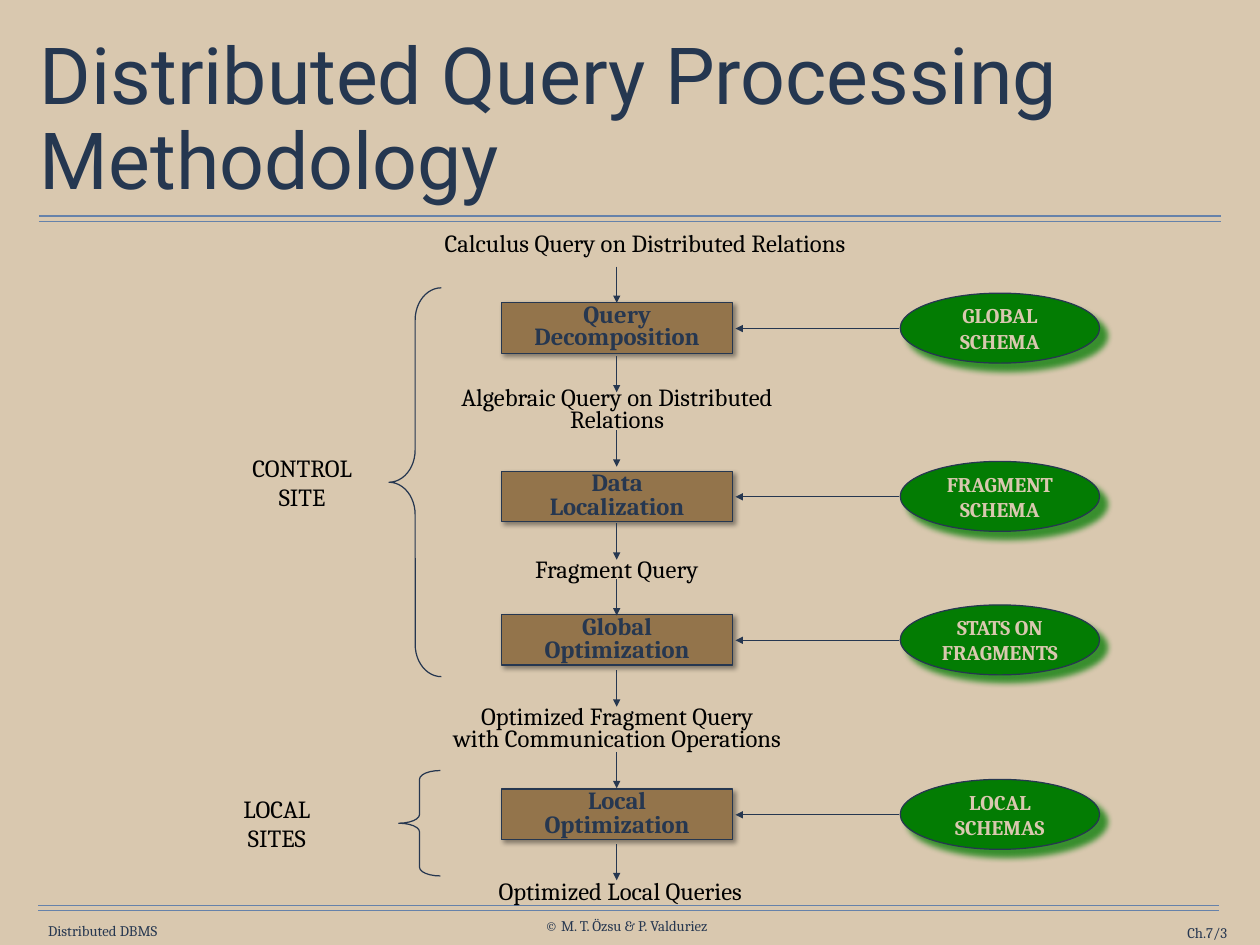
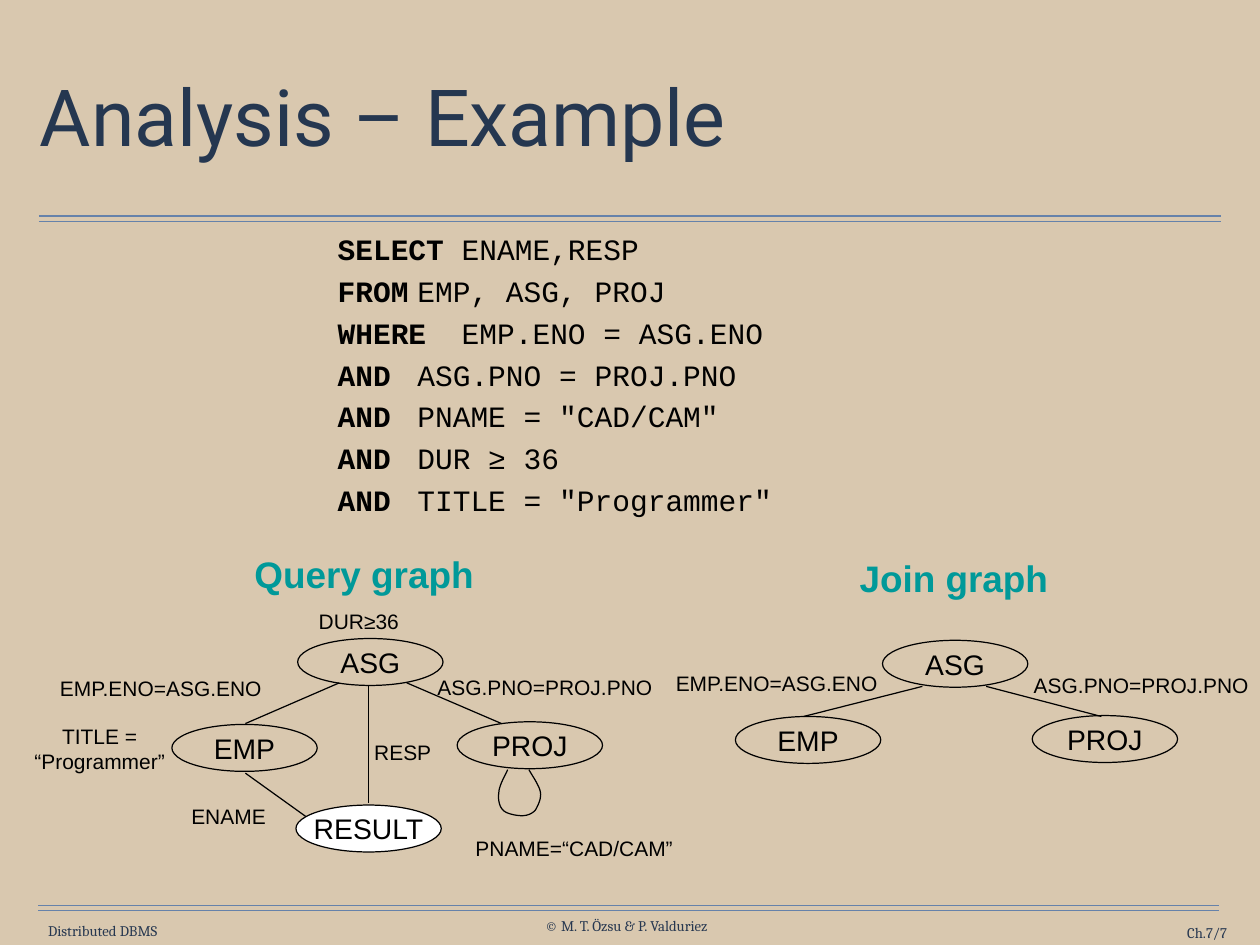
from lxml import etree
from pptx import Presentation
from pptx.dml.color import RGBColor
from pptx.enum.shapes import MSO_CONNECTOR, MSO_SHAPE
from pptx.enum.text import MSO_ANCHOR, MSO_AUTO_SIZE, PP_ALIGN
from pptx.oxml.ns import qn
from pptx.util import Inches, Pt

STRAIGHT = MSO_CONNECTOR.STRAIGHT
RECTANGLE, OVAL, BRACE = MSO_SHAPE.RECTANGLE, MSO_SHAPE.OVAL, MSO_SHAPE.LEFT_BRACE
TOP, MIDDLE = MSO_ANCHOR.TOP, MSO_ANCHOR.MIDDLE
LEFT, CENTER, RIGHT = PP_ALIGN.LEFT, PP_ALIGN.CENTER, PP_ALIGN.RIGHT
FIXED = MSO_AUTO_SIZE.NONE

SAND = RGBColor(0xD9, 0xC8, 0xAF)
NAVY = RGBColor(0x26, 0x37, 0x50)
TITLE_NAVY = RGBColor(0x25, 0x37, 0x50)
RULE_BLUE = RGBColor(0x66, 0x82, 0xAA)
BROWN = RGBColor(0x93, 0x74, 0x4B)
GREEN = RGBColor(0x03, 0x7C, 0x03)
TEAL = RGBColor(0x00, 0x99, 0x99)
BLACK = RGBColor(0, 0, 0)
WHITE = RGBColor(0xFF, 0xFF, 0xFF)

SERIF, SANS, MONO, DISPLAY = "Cambria", "Arial", "Courier New", "Roboto"
STEP_SHADOW = (BLACK, 40, 4, 3)
SCHEMA_SHADOW = (GREEN, 75, 5, 8.5)


def place(shape, left, top, width, height):
    shape.left, shape.top = Inches(left), Inches(top)
    shape.width, shape.height = Inches(width), Inches(height)


def bezier(start, curve, steps=10):
    points = (start, *curve)
    for step in range(1, steps + 1):
        t = step / steps
        weights = ((1 - t) ** 3, 3 * t * (1 - t) ** 2, 3 * t * t * (1 - t), t ** 3)
        yield tuple(
            Inches(sum(weight * point[axis] for weight, point in zip(weights, points)))
            for axis in (0, 1)
        )


class LectureDeck:
    def __init__(self):
        self.deck = Presentation()
        self.deck.slide_width = Inches(14.22)
        self.deck.slide_height = Inches(10.67)
        background = self.deck.slide_master.background.fill
        background.solid()
        background.fore_color.rgb = SAND
        self.content_layout = self.deck.slide_layouts[1]
        self.title_layout = self.deck.slide_layouts[5]
        for layout in (self.content_layout, self.title_layout):
            place(layout.placeholders[0], 0.39, 0.49, 13.44, 1.76)
        self.page = None

    def start(self, layout, title, number):
        self.page = self.deck.slides.add_slide(layout)
        self.set_text(self.page.shapes.title, [title], 64, DISPLAY, TITLE_NAVY,
                      align=LEFT, spacing=0.9, anchor=MIDDLE, inset=(0.06, 0.06), wrap=True)
        for left, right, top in ((0.44, 13.78, 2.44), (0.43, 13.76, 10.22)):
            for y in (top, top + 0.06):
                self.line((left, y), (right, y), RULE_BLUE)
        for left, top, width, words, align in (
            (0.47, 10.41, 1.38, "Distributed DBMS", CENTER),
            (6.03, 10.35, 2.08, "© M. T. Özsu & P. Valduriez", CENTER),
            (12.31, 10.43, 1.54, f"Ch.7/{number}", RIGHT),
        ):
            self.label((left, top, width, 0.2), [words], 12, color=NAVY, align=align,
                       anchor=MIDDLE, inset=(0, 0), wrap=align == RIGHT)

    def set_text(self, shape, lines, size, font=SERIF, color=BLACK, bold=False, align=CENTER,
                 spacing=1.0, anchor=TOP, inset=(0.14, 0.07), wrap=False):
        frame = shape.text_frame
        frame.auto_size = FIXED
        frame.word_wrap = wrap
        frame.vertical_anchor = anchor
        frame.margin_left = frame.margin_right = Inches(inset[0])
        frame.margin_top = frame.margin_bottom = Inches(inset[1])
        frame.text = "\n".join(lines)
        for paragraph in frame.paragraphs:
            paragraph.alignment = align
            paragraph.line_spacing = spacing
            paragraph.font.size = Pt(size)
            paragraph.font.name = font
            paragraph.font.bold = bold
            paragraph.font.color.rgb = color

    def label(self, area, lines, size=20, **style):
        box = self.page.shapes.add_textbox(*map(Inches, area))
        self.set_text(box, lines, size, **style)

    def outline(self, shape, line, fill=None):
        shape.shadow.inherit = False
        shape.line.color.rgb = line
        shape.line.width = Pt(1)
        if fill is None:
            shape.fill.background()
        else:
            shape.fill.solid()
            shape.fill.fore_color.rgb = fill

    def shape(self, kind, area, line, fill=None, shadow=None):
        shape = self.page.shapes.add_shape(kind, *map(Inches, area))
        self.outline(shape, line, fill)
        if shadow:
            color, opacity, blur, distance = shadow
            effects = shape._element.spPr.find(qn("a:effectLst"))
            outer = etree.SubElement(effects, qn("a:outerShdw"), blurRad=str(Pt(blur)),
                                     dist=str(Pt(distance)), dir=str(45 * 60000),
                                     algn="ctr", rotWithShape="0")
            tint = etree.SubElement(outer, qn("a:srgbClr"), val=str(color))
            etree.SubElement(tint, qn("a:alpha"), val=str(opacity * 1000))
        return shape

    def line(self, start, end, color=BLACK, arrow=False):
        line = self.page.shapes.add_connector(STRAIGHT, *map(Inches, (*start, *end)))
        line.line.color.rgb = color
        line.line.width = Pt(1)
        properties = line._element.spPr
        if arrow:
            etree.SubElement(properties.find(qn("a:ln")), qn("a:tailEnd"), type="triangle")
        etree.SubElement(properties, qn("a:effectLst"))

    def brace(self, area, curl):
        self.shape(BRACE, area, NAVY).adjustments[0] = curl

    def step(self, top, lines, spacing):
        box = self.shape(RECTANGLE, (5.66, top, 2.61, 0.57), NAVY, BROWN, STEP_SHADOW)
        self.set_text(box, lines, 20, color=NAVY, bold=True, spacing=spacing, anchor=MIDDLE)

    def schema(self, top, lines):
        oval = self.shape(OVAL, (10.16, top, 2.25, 0.79), NAVY, GREEN, SCHEMA_SHADOW)
        self.set_text(oval, lines, 17, color=SAND, bold=True, anchor=MIDDLE)

    def node(self, left, top, name, fill=None):
        oval = self.shape(OVAL, (left, top, 1.64, 0.53), BLACK, fill)
        self.set_text(oval, [name], 23, SANS, anchor=MIDDLE, inset=(0, 0))

    def loop(self, start, curves):
        builder = self.page.shapes.build_freeform(*map(Inches, start))
        for curve in curves:
            builder.add_line_segments(bezier(start, curve), close=False)
            start = curve[-1]
        self.outline(builder.convert_to_shape(), BLACK)

    def query(self, clauses):
        body = self.page.placeholders[1]
        place(body, 2.46, 2.55, 9.16, 3.65)
        self.set_text(body, [""] * len(clauses), 24, MONO, align=LEFT,
                      inset=(0.06, 0.06), wrap=True)
        for paragraph, (keyword, operand) in zip(body.text_frame.paragraphs, clauses):
            paragraph.level = 2
            paragraph.space_before = Pt(5.2)
            properties = paragraph._p.get_or_add_pPr()
            properties.set("marL", str(Inches(1.69)))
            properties.set("indent", str(Inches(-0.4)))
            defaults = properties.find(qn("a:defRPr"))
            tabs = etree.Element(qn("a:tabLst"))
            etree.SubElement(tabs, qn("a:tab"), pos=str(Inches(2.94)), algn="l")
            defaults.addprevious(etree.Element(qn("a:buNone")))
            defaults.addprevious(tabs)
            for words, bold in ((keyword, True), ("\t" + operand, False)):
                span = paragraph.add_run()
                span.text = words
                span.font.bold = bold


def build_methodology(lecture):
    lecture.start(lecture.title_layout, "Distributed Query Processing Methodology", 3)
    for area, lines, spacing in (
        ((4.43, 2.58, 5.7, 0.41), ["Calculus Query on Distributed Relations"], 0.75),
        ((4.85, 4.32, 4.23, 0.66), ["Algebraic Query on Distributed", "Relations"], 0.75),
        ((5.78, 6.18, 2.36, 0.48), ["Fragment Query"], 1.0),
        ((4.77, 7.92, 4.39, 0.66),
         ["Optimized Fragment Query", "with Communication Operations"], 0.75),
        ((5.14, 9.9, 3.72, 0.41), ["Optimized Local Queries"], 0.75),
        ((2.54, 5.04, 1.74, 0.81), ["CONTROL", "SITE"], 1.0),
        ((2.5, 8.89, 1.25, 0.81), ["LOCAL", "SITES"], 1.0),
    ):
        lecture.label(area, lines, spacing=spacing)
    for top, task, task_spacing, schema in (
        (3.42, ["Query", "Decomposition"], 0.75, ["GLOBAL", "SCHEMA"]),
        (5.32, ["Data", "Localization"], 0.8, ["FRAGMENT", "SCHEMA"]),
        (6.94, ["Global", "Optimization"], 0.8, ["STATS ON", "FRAGMENTS"]),
        (8.91, ["Local", "Optimization"], 0.8, ["LOCAL", "SCHEMAS"]),
    ):
        lecture.step(top, task, task_spacing)
        lecture.schema(top - 0.11, schema)
        lecture.line((10.15, top + 0.29), (8.3, top + 0.29), NAVY, arrow=True)
    for top in (3.01, 4.02, 4.86, 5.91, 6.54, 7.57, 8.49, 9.53):
        lecture.line((6.96, top), (6.96, top + 0.41), NAVY, arrow=True)
    lecture.brace((4.39, 3.25, 0.59, 4.39), 0.617)
    lecture.brace((4.5, 8.7, 0.47, 1.19), 0.208)


def build_analysis(lecture):
    lecture.start(lecture.content_layout, "Analysis – Example", 7)
    lecture.query((
        ("SELECT", "ENAME,RESP"),
        ("FROM", "EMP, ASG, PROJ"),
        ("WHERE", "EMP.ENO = ASG.ENO"),
        ("AND", "ASG.PNO = PROJ.PNO"),
        ("AND", 'PNAME = "CAD/CAM"'),
        ("AND", "DUR ≥ 36"),
        ("AND", 'TITLE = "Programmer"'),
    ))
    for area, heading in (
        ((2.76, 6.27, 2.7, 0.52), "Query graph"),
        ((9.59, 6.31, 2.35, 0.52), "Join graph"),
    ):
        lecture.label(area, [heading], 30, font=SANS, color=TEAL, bold=True,
                      spacing=0.85, inset=(0.1, 0.04))
    for start, end in (
        ((2.77, 8.73), (3.48, 9.24)),
        ((4.59, 7.71), (5.66, 8.17)),
        ((4.16, 7.74), (4.16, 9.07)),
        ((3.83, 7.71), (2.77, 8.17)),
        ((10.41, 7.75), (9.07, 8.09)),
        ((11.13, 7.75), (12.43, 8.09)),
    ):
        lecture.line(start, end)
    for left, top, name in (
        (3.36, 7.21, "ASG"), (5.16, 8.15, "PROJ"), (1.94, 8.18, "EMP"),
        (9.96, 7.23, "ASG"), (11.65, 8.08, "PROJ"), (8.3, 8.09, "EMP"),
    ):
        lecture.node(left, top, name)
    lecture.node(3.34, 9.09, "RESULT", WHITE)
    lecture.loop((5.73, 8.69), (
        ((5.71, 8.74), (5.63, 8.87), (5.63, 8.95)),
        ((5.62, 9.02), (5.63, 9.1), (5.68, 9.15)),
        ((5.72, 9.19), (5.83, 9.21), (5.89, 9.21)),
        ((5.95, 9.21), (6, 9.19), (6.04, 9.15)),
        ((6.07, 9.1), (6.11, 9.02), (6.1, 8.95)),
        ((6.09, 8.87), (6, 8.75), (5.97, 8.69)),
    ))
    for left, top, width, lines in (
        (3.45, 6.8, 1.2, ["DUR≥36"]),
        (5.21, 9.36, 2.54, ["PNAME=“CAD/CAM”"]),
        (2.01, 9, 1.14, ["ENAME"]),
        (0.52, 7.56, 2.59, ["EMP.ENO=ASG.ENO"]),
        (4.77, 7.55, 2.76, ["ASG.PNO=PROJ.PNO"]),
        (0.24, 8.1, 1.77, ["TITLE =", "“Programmer”"]),
        (4.08, 8.28, 0.93, ["RESP"]),
        (11.5, 7.52, 2.76, ["ASG.PNO=PROJ.PNO"]),
        (7.47, 7.5, 2.59, ["EMP.ENO=ASG.ENO"]),
    ):
        lecture.label((left, top, width, 0.15 + 0.28 * len(lines)), lines, 17, font=SANS)


lecture = LectureDeck()
build_methodology(lecture)
build_analysis(lecture)
lecture.deck.save("out.pptx")
